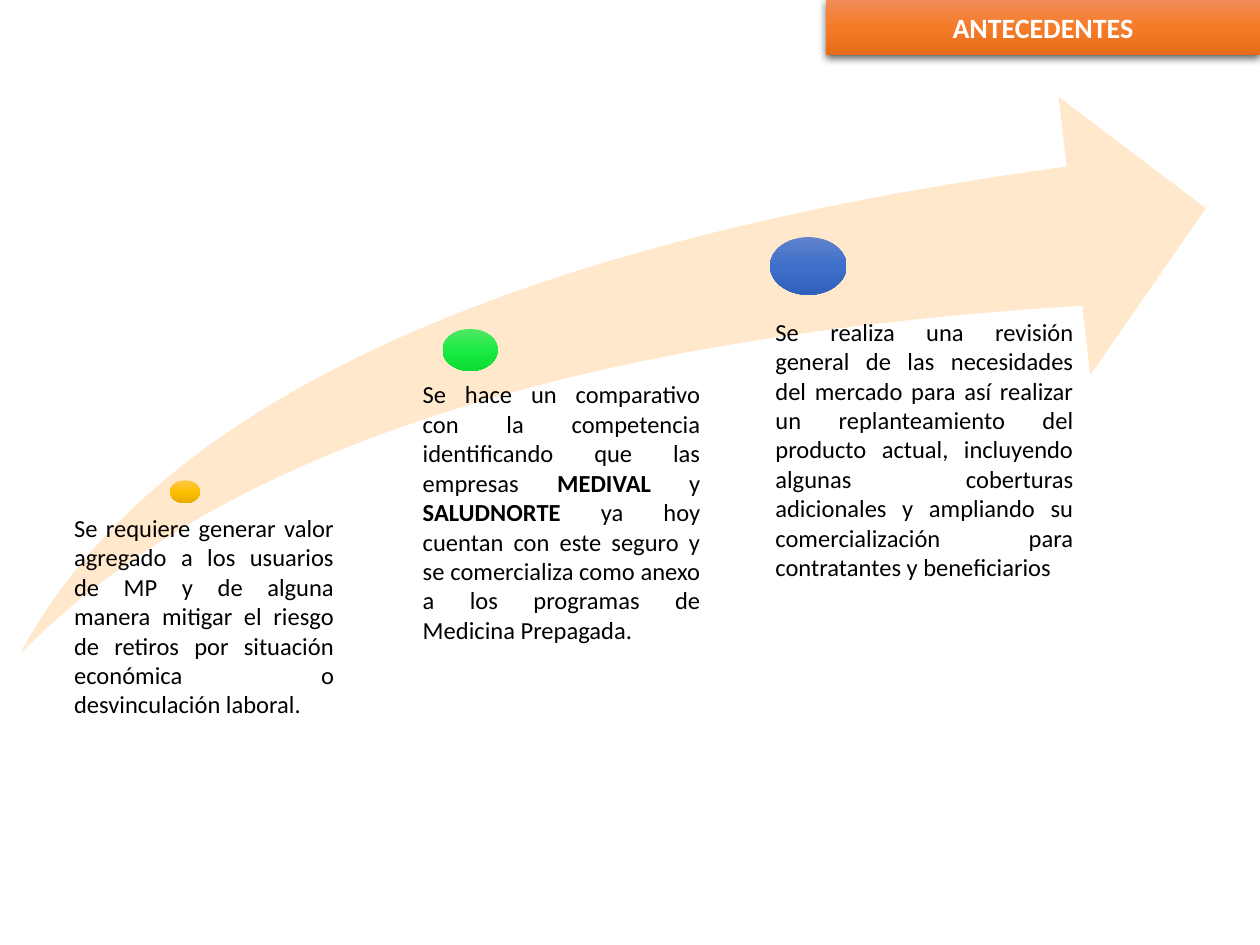
"""Build the slide on the background of the health insurance product."""
from copy import deepcopy
from dataclasses import dataclass

from pptx import Presentation
from pptx.dml.color import RGBColor
from pptx.enum import shapes as kinds, text as txt
from pptx.oxml import parse_xml
from pptx.oxml.ns import nsdecls, qn
from pptx.util import Pt

Box = tuple[float, float, float, float]
Tones = tuple[str, str, str]


@dataclass
class Step:
    dot: Box
    tones: Tones
    box: Box
    words: str


STEPS = [
    Step((97.2, 274.5, 17, 13), ("FFC64B", "FFC000", "E3AB00"),
         (35.3, 289.5, 162.7, 126),
         "Se requiere generar valor agregado a los usuarios de MP y de alguna "
         "manera mitigar el riesgo de retiros por situación económica o "
         "desvinculación laboral."),
    Step((252.9, 188, 31.5, 24), ("51E663", "19EB42", "0CDB34"),
         (234.5, 213.3, 172.8, 160),
         "Se hace un comparativo con la competencia identificando que las "
         "empresas *MEDIVAL* y *SALUDNORTE* ya hoy cuentan con este seguro y "
         "se comercializa como anexo a los programas de Medicina Prepagada."),
    Step((440, 135.5, 43.8, 33), ("6183CB", "3E70CA", "3062BB"),
         (436, 177.5, 184.5, 160),
         "Se realiza una revisión general de las necesidades del mercado para "
         "así realizar un replanteamiento del producto actual, incluyendo "
         "algunas coberturas adicionales y ampliando su comercialización para "
         "contratantes y beneficiarios"),
]


def rgb(tone: str) -> RGBColor:
    return RGBColor.from_string(tone)


def pts(box: Box) -> list[Pt]:
    return [Pt(n) for n in box]


def style(font, size: float, tone: str, bold: bool) -> None:
    font.name, font.size, font.bold = "Calibri", Pt(size), bold
    font.color.rgb = rgb(tone)


def shade(shape, tones: Tones) -> None:
    fill = shape.fill
    fill.gradient()
    fill.gradient_angle = 270
    stops = shape._element.spPr.find(".//" + qn("a:gsLst"))
    stops.append(deepcopy(stops[0]))
    for stop, place, tone in zip(fill.gradient_stops, (0, 0.5, 1), tones):
        stop.position = place
        stop.color.rgb = rgb(tone)


def draw_shape(slide, kind, box: Box):
    shape = slide.shapes.add_shape(kind, *pts(box))
    shape.shadow.inherit = False
    shape.line.fill.background()
    return shape


def draw_title(slide, words: str) -> None:
    title = slide.shapes.title
    title.left, title.top, title.width, title.height = pts((472, 0, 248, 31.5))
    props = title._element.spPr
    props.append(parse_xml(
        f'<a:prstGeom {nsdecls("a")} prst="round2DiagRect"><a:avLst/></a:prstGeom>'))
    shade(title, ("F18C57", "F67B28", "E56C19"))
    props.append(parse_xml(
        f'<a:effectLst {nsdecls("a")}><a:outerShdw blurRad="{Pt(4.5)}" '
        f'dist="{Pt(1.5)}" dir="5400000" algn="ctr" rotWithShape="0">'
        '<a:srgbClr val="000000"><a:alpha val="63000"/></a:srgbClr>'
        '</a:outerShdw></a:effectLst>'))
    frame = title.text_frame
    frame.text = words
    frame.auto_size = txt.MSO_AUTO_SIZE.NONE
    frame.vertical_anchor = txt.MSO_ANCHOR.MIDDLE
    frame.margin_left = frame.margin_right = Pt(5)
    frame.margin_top = frame.margin_bottom = Pt(3)
    para = frame.paragraphs[0]
    para.alignment = txt.PP_ALIGN.CENTER
    style(para.runs[0].font, 16, "FFFFFF", True)


def draw_arrow(slide) -> None:
    arrow = draw_shape(slide, kinds.MSO_SHAPE.SWOOSH_ARROW,
                       (11.5, 55.4, 677.5, 318.2))
    arrow.adjustments[0] = arrow.adjustments[1] = 0.25
    arrow.fill.solid()
    arrow.fill.fore_color.rgb = rgb("FFE8CC")


def draw_text(slide, box: Box, words: str) -> None:
    frame = slide.shapes.add_textbox(*pts(box)).text_frame
    frame.word_wrap = True
    frame.auto_size = txt.MSO_AUTO_SIZE.SHAPE_TO_FIT_TEXT
    para = frame.paragraphs[0]
    para.alignment = txt.PP_ALIGN.JUSTIFY
    for i, part in enumerate(words.split("*")):
        run = para.add_run()
        run.text = part
        style(run.font, 14, "000000", i % 2 == 1)


def main() -> None:
    deck = Presentation()
    deck.slide_width, deck.slide_height = Pt(720), Pt(540)
    slide = deck.slides.add_slide(deck.slide_layouts.get_by_name("Title Only"))
    draw_arrow(slide)
    for step in STEPS:
        shade(draw_shape(slide, kinds.MSO_SHAPE.OVAL, step.dot), step.tones)
    draw_title(slide, "ANTECEDENTES")
    for step in STEPS:
        draw_text(slide, step.box, step.words)
    deck.save("out.pptx")


if __name__ == "__main__":
    main()
